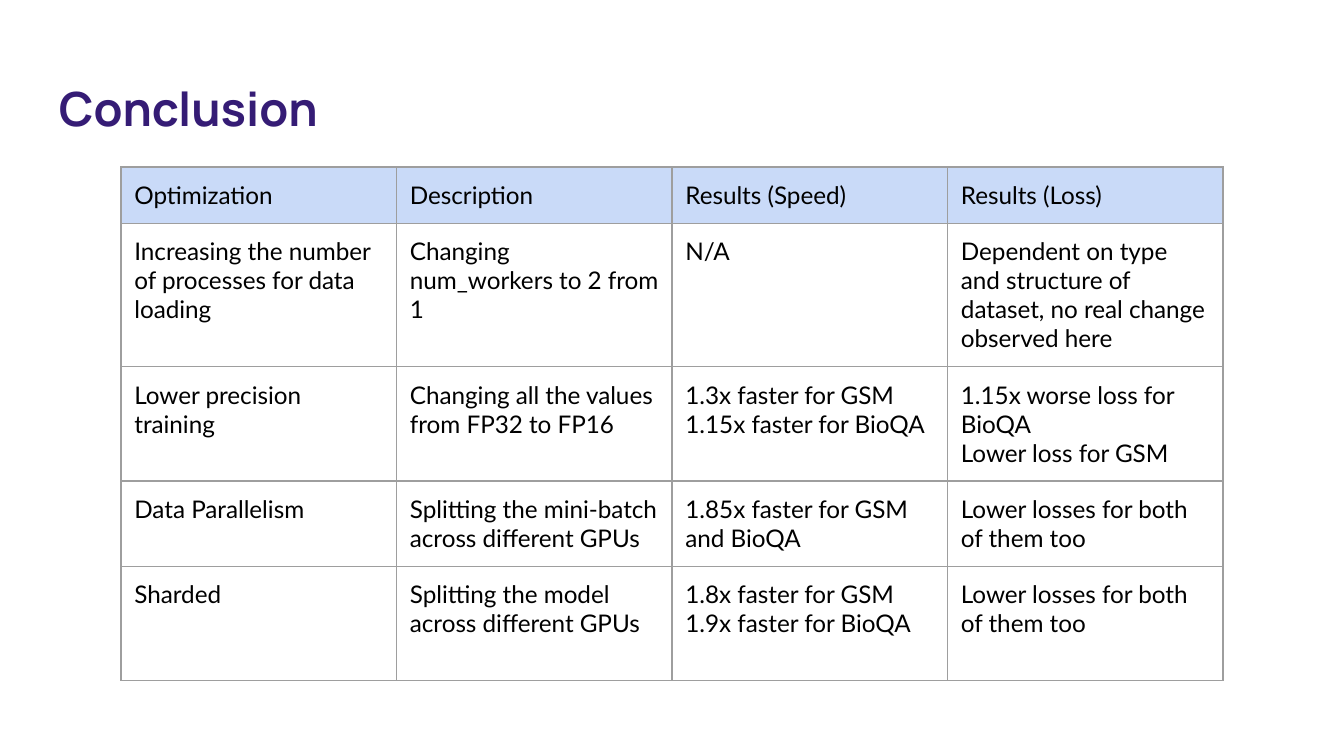
import lxml.etree
import pptx
import pptx.dml.color
import pptx.enum.text
import pptx.oxml.ns
import pptx.util

Pt = pptx.util.Pt

COLORS = {
    "title": "351C75",
    "text": "000000",
    "header": "C9DAF8",
    "border": "9E9E9E",
}

ROWS = [
    ["Optimization", "Description", "Results (Speed)", "Results (Loss)"],
    [
        "Increasing the number of processes for data loading",
        "Changing num_workers to 2 from 1",
        "N/A",
        "Dependent on type and structure of dataset, no real change observed here",
    ],
    [
        "Lower precision training",
        "Changing all the values from FP32 to FP16",
        "1.3x faster for GSM\n1.15x faster for BioQA",
        "1.15x worse loss for BioQA\nLower loss for GSM",
    ],
    [
        "Data Parallelism",
        "Splitting the mini-batch across different GPUs",
        "1.85x faster for GSM and BioQA",
        "Lower losses for both of them too",
    ],
    [
        "Sharded",
        "Splitting the model across different GPUs",
        "1.8x faster for GSM\n1.9x faster for BioQA",
        "Lower losses for both of them too",
    ],
]
ROW_HEIGHTS = [30, 76.7, 61.3, 45.5, 61.3]
COLUMN_WIDTH = 147.6


class SlideBuilder:
    title_font = "Manrope"
    body_font = "Lato"
    inset = Pt(7.2)

    def __init__(self, slide):
        self.slide = slide

    def color(self, name):
        return pptx.dml.color.RGBColor.from_string(COLORS[name])

    def style_text(self, paragraph, font_name, size, color, bold=False):
        font = paragraph.font
        font.name = font_name
        font.size = Pt(size)
        font.bold = bold
        font.color.rgb = self.color(color)

    def set_insets(self, holder):
        holder.margin_left = holder.margin_right = self.inset
        holder.margin_top = holder.margin_bottom = self.inset

    def add_title(self, text, left, top, width, height):
        shape = self.slide.shapes.add_textbox(Pt(left), Pt(top), Pt(width), Pt(height))
        frame = shape.text_frame
        frame.word_wrap = True
        frame.vertical_anchor = pptx.enum.text.MSO_ANCHOR.MIDDLE
        self.set_insets(frame)
        frame.text = text
        self.style_text(frame.paragraphs[0], self.title_font, 25.2, "title", bold=True)

    def add_borders(self, cell, width=0.75):
        properties = cell._tc.get_or_add_tcPr()
        qualified = pptx.oxml.ns.qn
        for side in ("lnL", "lnR", "lnT", "lnB"):
            line = lxml.etree.SubElement(properties, qualified("a:" + side), w=str(Pt(width)))
            fill = lxml.etree.SubElement(line, qualified("a:solidFill"))
            lxml.etree.SubElement(fill, qualified("a:srgbClr"), val=COLORS["border"])

    def fill_cell(self, cell, text, is_header):
        cell.text = text
        self.set_insets(cell)
        for paragraph in cell.text_frame.paragraphs:
            self.style_text(paragraph, self.body_font, 13, "text")
        # Borders must precede the fill in the cell properties
        self.add_borders(cell)
        if is_header:
            cell.fill.solid()
            cell.fill.fore_color.rgb = self.color("header")
        else:
            cell.fill.background()

    def add_table(self, rows, left, top, column_width, row_heights):
        column_count = len(rows[0])
        table = self.slide.shapes.add_table(
            len(rows), column_count, Pt(left), Pt(top),
            Pt(column_width * column_count), Pt(sum(row_heights)),
        ).table
        for column in table.columns:
            column.width = Pt(column_width)
        for row_index, (texts, height) in enumerate(zip(rows, row_heights)):
            table.rows[row_index].height = Pt(height)
            for column_index, text in enumerate(texts):
                self.fill_cell(table.cell(row_index, column_index), text, row_index == 0)


def main():
    presentation = pptx.Presentation()
    presentation.slide_width = Pt(720)
    presentation.slide_height = Pt(405)
    slide = presentation.slides.add_slide(presentation.slide_layouts[6])
    builder = SlideBuilder(slide)

    # Heading
    builder.add_title("Conclusion", 24.5, 35, 671, 45.4)

    # Comparison of optimizations
    builder.add_table(ROWS, 64.8, 89.5, COLUMN_WIDTH, ROW_HEIGHTS)

    presentation.save("out.pptx")


if __name__ == "__main__":
    main()
